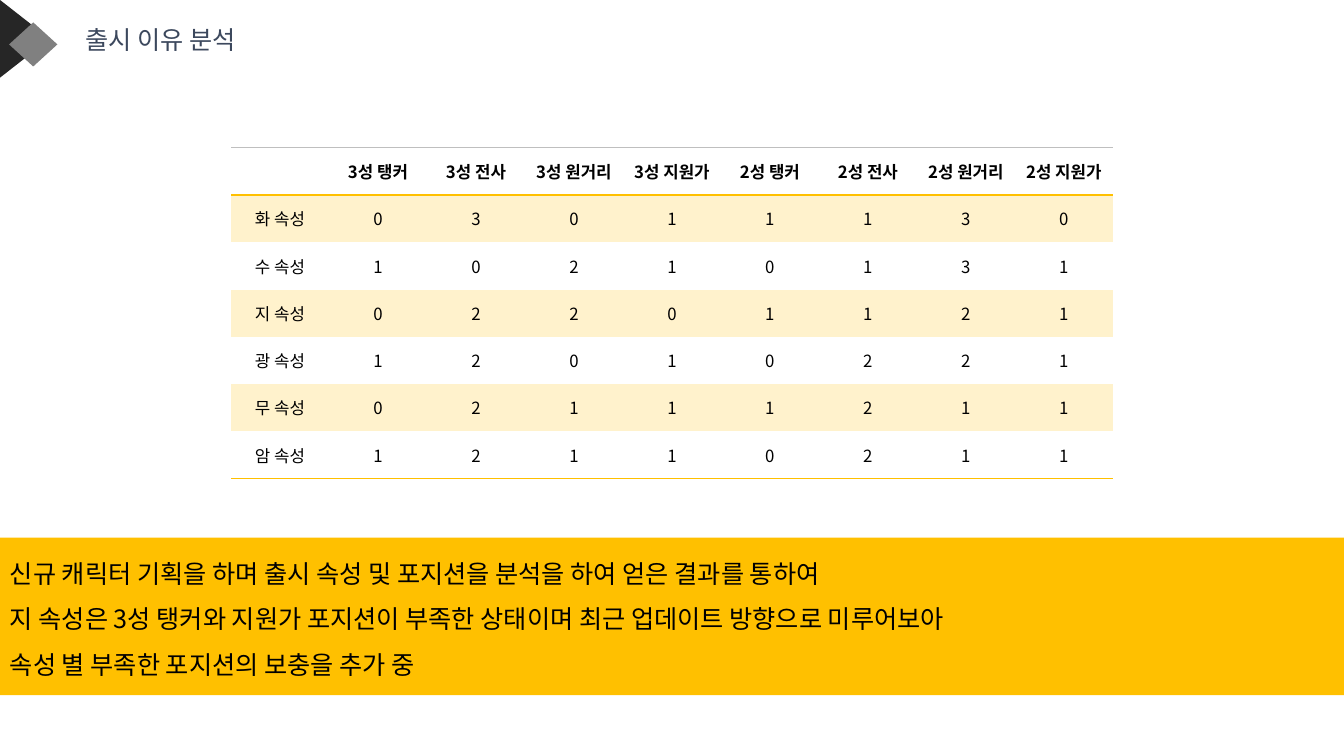
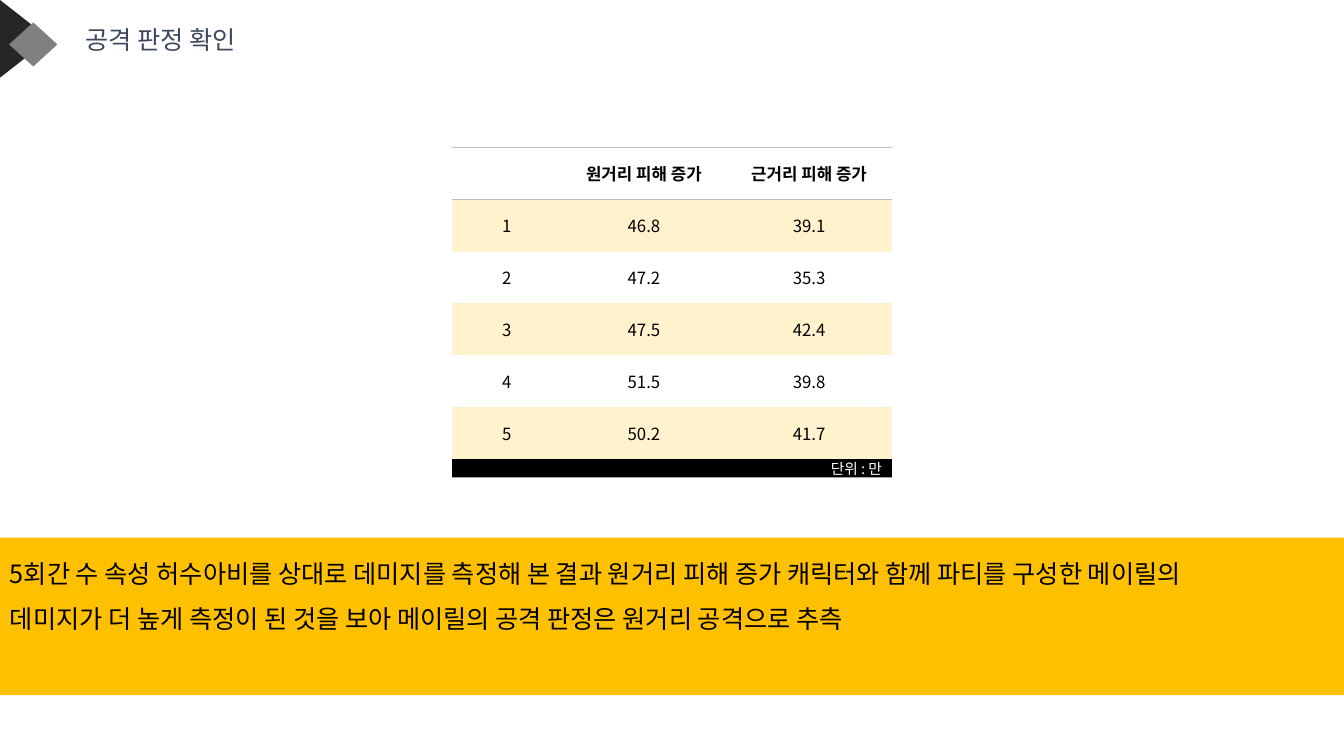
from dataclasses import dataclass

import pptx
import pptx.dml.color
import pptx.enum.shapes
import pptx.enum.text
import pptx.oxml
import pptx.oxml.ns
import pptx.util

SHAPES = pptx.enum.shapes.MSO_SHAPE
ALIGN = pptx.enum.text.PP_ALIGN
ANCHOR = pptx.enum.text.MSO_ANCHOR
EMU_PER_PX = 6350  # 1920 x 1080 px slide
PLAIN_TABLE_STYLE = "{2D5ABB26-0587-4C30-8999-92F81FD0307C}"
TABLE_TOP = 211


@dataclass(frozen=True)
class Theme:
    font: str = "Noto Sans CJK KR"
    title_color: str = "3C485D"
    text: str = "000000"
    light: str = "FFFFFF"
    accent: str = "FFC000"
    stripe: str = "FFF2CC"
    rule: str = "BFBFBF"
    dark_marker: str = "262626"
    grey_marker: str = "808080"
    heading_size: float = 18
    table_size: float = 12
    unit_size: float = 10.5
    summary_leading: float = 32.5


THEME = Theme()


def px(value):
    return pptx.util.Emu(value * EMU_PER_PX)


def rgb(color):
    return pptx.dml.color.RGBColor.from_string(color)


# Text
def write_text(frame, text, size, color=THEME.text, bold=False, align=ALIGN.LEFT,
               anchor=ANCHOR.TOP, leading=None):
    frame.word_wrap = True
    frame.vertical_anchor = anchor
    for index, line in enumerate(text.split("\n")):
        paragraph = frame.paragraphs[0] if index == 0 else frame.add_paragraph()
        paragraph.alignment = align
        paragraph.space_before = pptx.util.Pt(0)
        if leading:
            paragraph.line_spacing = pptx.util.Pt(leading)
        run = paragraph.add_run()
        run.text = line
        run.font.name = THEME.font
        run.font.size = pptx.util.Pt(size)
        run.font.bold = bold
        run.font.color.rgb = rgb(color)
        # Korean glyphs take the East Asian typeface
        latin = run.font._element.find(pptx.oxml.ns.qn("a:latin"))
        latin.addnext(pptx.oxml.parse_xml(
            f'<a:ea {pptx.oxml.ns.nsdecls("a")} typeface="{THEME.font}"/>'))


# Shapes shared by the slides
def add_filled_shape(shapes, kind, left, top, width, height, color):
    shape = shapes.add_shape(kind, px(left), px(top), px(width), px(height))
    shape.shadow.inherit = False
    shape.fill.solid()
    shape.fill.fore_color.rgb = rgb(color)
    shape.line.fill.background()
    return shape


def add_corner_marker(slide):
    marker = slide.shapes.add_group_shape()
    triangle = add_filled_shape(marker.shapes, SHAPES.ISOSCELES_TRIANGLE,
                                -20, 20, 111, 71, THEME.dark_marker)
    triangle.rotation = 90
    add_filled_shape(marker.shapes, SHAPES.DIAMOND, 13, 32, 69, 63, THEME.grey_marker)


def add_summary_band(slide, text):
    band = add_filled_shape(slide.shapes, SHAPES.RECTANGLE, 0, 768, 1920, 225, THEME.accent)
    write_text(band.text_frame, text, THEME.heading_size, leading=THEME.summary_leading)


def add_titled_slide(presentation, title, summary):
    slide = presentation.slides.add_slide(presentation.slide_layouts[5])
    heading = slide.shapes.title
    heading.left, heading.top, heading.width, heading.height = map(px, (108, 27, 500, 58))
    write_text(heading.text_frame, title, THEME.heading_size, THEME.title_color,
               anchor=ANCHOR.MIDDLE)
    add_corner_marker(slide)
    add_summary_band(slide, summary)
    return slide


# Tables
def set_border(cell, side, color, width):
    border = pptx.oxml.parse_xml(
        f'<a:{side} {pptx.oxml.ns.nsdecls("a")} w="{pptx.util.Pt(width)}">'
        f'<a:solidFill><a:srgbClr val="{color}"/></a:solidFill></a:{side}>')
    cell._tc.get_or_add_tcPr().append(border)


def format_cell(cell, text, row, last_row, header_rule):
    if row == 0:
        set_border(cell, "lnT", THEME.rule, 1)
        set_border(cell, "lnB", *header_rule)
    elif row == last_row:
        set_border(cell, "lnB", THEME.accent, 1)
    if row % 2:
        cell.fill.solid()
        cell.fill.fore_color.rgb = rgb(THEME.stripe)
    else:
        cell.fill.background()
    cell.margin_left = cell.margin_right = px(10)
    cell.margin_top = cell.margin_bottom = px(5)
    cell.vertical_anchor = ANCHOR.MIDDLE
    write_text(cell.text_frame, text, THEME.table_size, bold=row == 0,
               align=ALIGN.CENTER, anchor=None)


def add_striped_table(slide, rows, left, column_widths, height, header_rule):
    frame = slide.shapes.add_table(len(rows), len(column_widths), px(left), px(TABLE_TOP),
                                   px(sum(column_widths)), px(height))
    table = frame.table
    table.first_row = table.horz_banding = False
    table._tbl.tblPr.find(pptx.oxml.ns.qn("a:tableStyleId")).text = PLAIN_TABLE_STYLE
    for column, width in zip(table.columns, column_widths):
        column.width = px(width)
    for row_index, values in enumerate(rows):
        table.rows[row_index].height = px(height) // len(rows)
        for column_index, value in enumerate(values):
            format_cell(table.cell(row_index, column_index), str(value), row_index,
                        len(rows) - 1, header_rule)


# Slides
def build_release_slide(presentation):
    slide = add_titled_slide(
        presentation, "출시 이유 분석",
        "신규 캐릭터 기획을 하며 출시 속성 및 포지션을 분석을 하여 얻은 결과를 통하여\n"
        "지 속성은 3성 탱커와 지원가 포지션이 부족한 상태이며 최근 업데이트 방향으로 미루어보아\n"
        "속성 별 부족한 포지션의 보충을 추가 중")
    positions = ("탱커", "전사", "원거리", "지원가")
    header = [""] + [f"{stars}성 {position}" for stars in (3, 2) for position in positions]
    counts = {
        "화": (0, 3, 0, 1, 1, 1, 3, 0),
        "수": (1, 0, 2, 1, 0, 1, 3, 1),
        "지": (0, 2, 2, 0, 1, 1, 2, 1),
        "광": (1, 2, 0, 1, 0, 2, 2, 1),
        "무": (0, 2, 1, 1, 1, 2, 1, 1),
        "암": (1, 2, 1, 1, 0, 2, 1, 1),
    }
    rows = [header] + [[f"{element} 속성", *values] for element, values in counts.items()]
    add_striped_table(slide, rows, 330, [140] * len(header), 473, (THEME.accent, 1.5))


def build_attack_slide(presentation):
    slide = add_titled_slide(
        presentation, "공격 판정 확인",
        "5회간 수 속성 허수아비를 상대로 데미지를 측정해 본 결과 원거리 피해 증가 "
        "캐릭터와 함께 파티를 구성한 메이릴의\n"
        "데미지가 더 높게 측정이 된 것을 보아 메이릴의 공격 판정은 원거리 공격으로 추측")
    damage = [(46.8, 39.1), (47.2, 35.3), (47.5, 42.4), (51.5, 39.8), (50.2, 41.7)]
    rows = [("", "원거리 피해 증가", "근거리 피해 증가")]
    rows += [(trial, *values) for trial, values in enumerate(damage, 1)]
    left, widths, height = 646, [156, 236, 236], 445
    add_striped_table(slide, rows, left, widths, height, (THEME.rule, 1))
    unit_bar = add_filled_shape(slide.shapes, SHAPES.RECTANGLE, left, TABLE_TOP + height,
                                sum(widths), 26, THEME.text)
    write_text(unit_bar.text_frame, "단위 : 만", THEME.unit_size, THEME.light,
               align=ALIGN.RIGHT, anchor=ANCHOR.MIDDLE)


def main():
    presentation = pptx.Presentation()
    presentation.slide_width, presentation.slide_height = px(1920), px(1080)
    build_release_slide(presentation)
    build_attack_slide(presentation)
    presentation.save("out.pptx")


if __name__ == "__main__":
    main()
